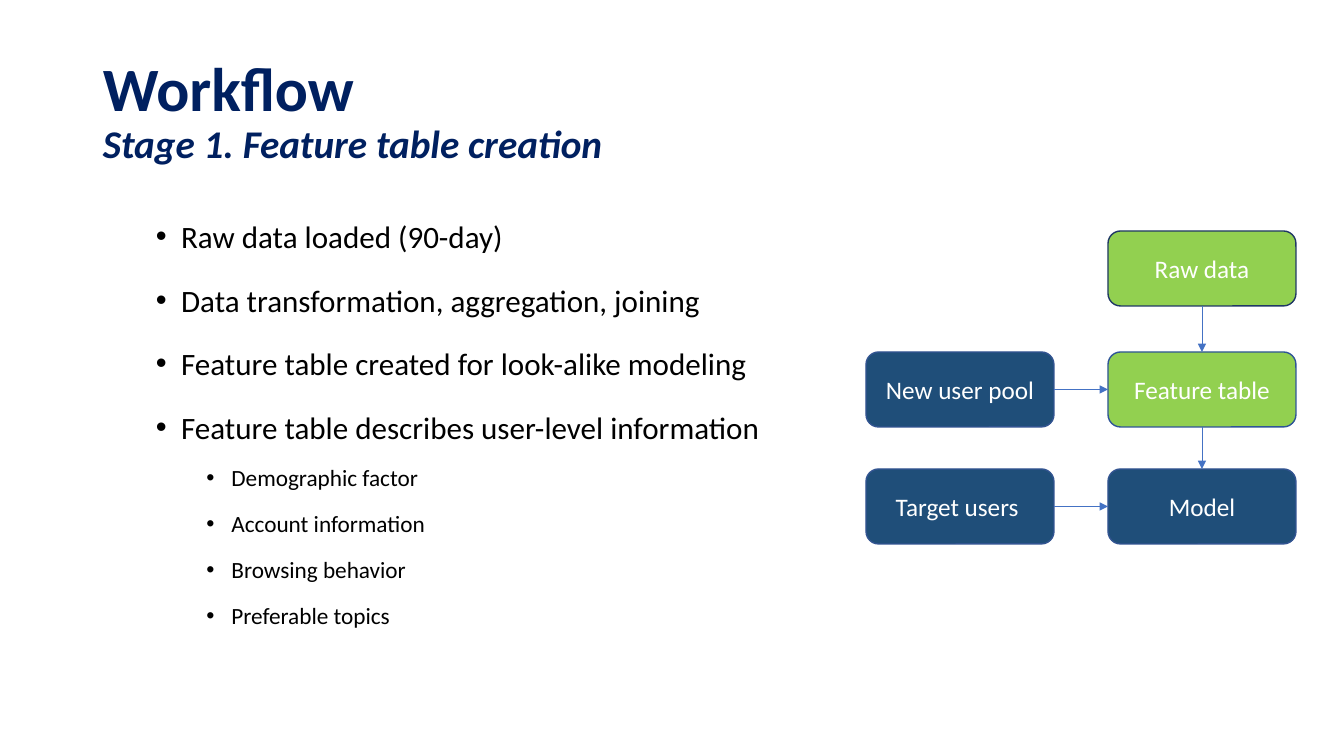
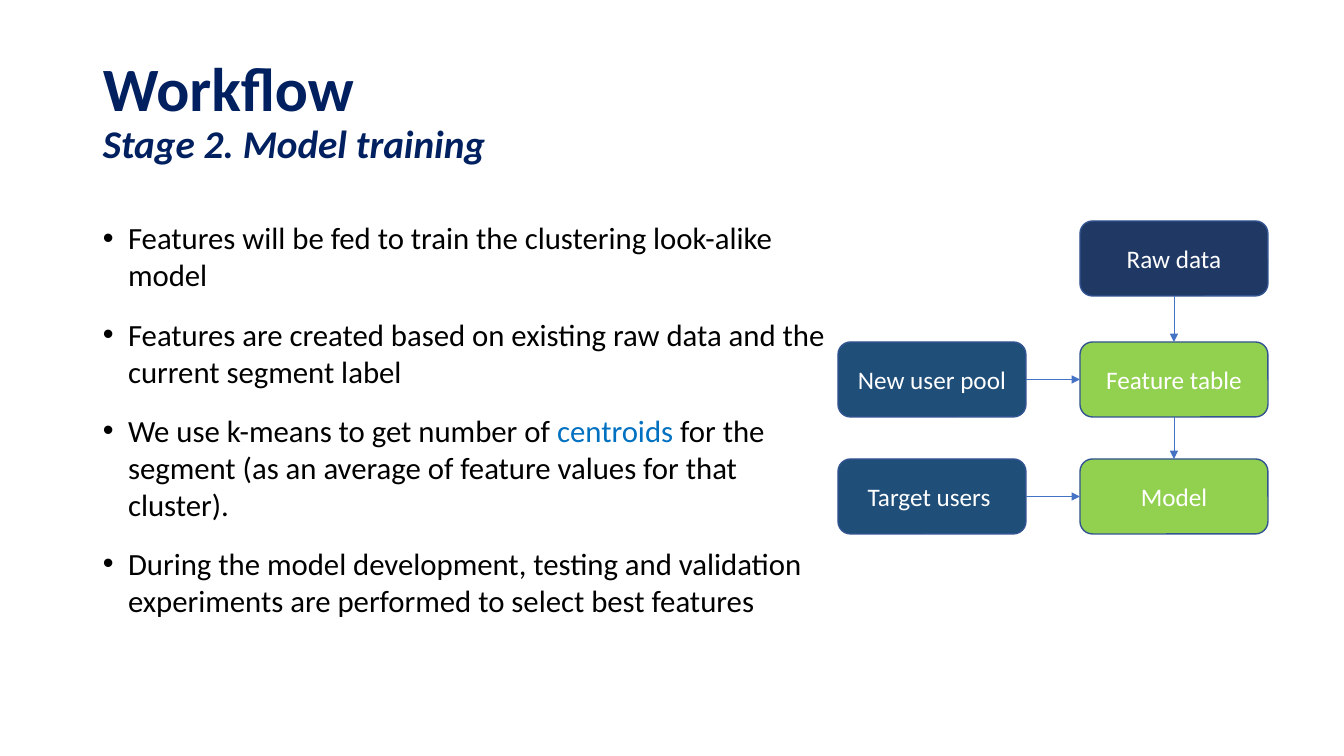
from lxml.etree import SubElement
from pptx import Presentation
from pptx.dml.color import RGBColor
from pptx.enum.shapes import MSO_CONNECTOR, MSO_SHAPE
from pptx.enum.text import MSO_ANCHOR, PP_ALIGN
from pptx.oxml.ns import qn
from pptx.util import Pt

PX = 914400 / 100.8
FONT = "Calibri"
NAVY, BLACK, WHITE, ACCENT = "002060", "000000", "FFFFFF", "0070C0"
BLUE, DEEP, GREEN = "1F4E79", "203864", "92D050"
OUTLINE, ARROW = "325491", "4472C4"
TOP, LEFT, BOTTOM, RIGHT = range(4)

TITLE_BOX = (93, 40, 1159, 146)
NODE_WIDTH, NODE_HEIGHT, COLUMN_STEP = 188, 75, 242
ROW_TOPS = (0, 121, 238)
NODES = {
    "Raw data": (1, 0),
    "Feature table": (1, 1),
    "Model": (1, 2),
    "New user pool": (0, 1),
    "Target users ": (0, 2),
}
FLOWS = (
    ("Raw data", BOTTOM, "Feature table", TOP),
    ("Feature table", BOTTOM, "Model", TOP),
    ("New user pool", RIGHT, "Feature table", LEFT),
    ("Target users ", RIGHT, "Model", LEFT),
)


def px(*lengths):
    """Turn pixel lengths into EMU."""
    return [round(length * PX) for length in lengths]


def rgb(value):
    """Turn a hex string into a colour."""
    return RGBColor.from_string(value)


def add_run(paragraph, text, size, color, bold=False, italic=False):
    """Append one styled run."""
    run = paragraph.add_run()
    run.text = text
    font = run.font
    font.name, font.size, font.bold, font.italic = FONT, Pt(size), bold, italic
    font.color.rgb = rgb(color)


def add_frame(slide, box):
    """Add a wrapping text box and return its frame."""
    frame = slide.shapes.add_textbox(*px(*box)).text_frame
    frame.word_wrap = True
    return frame


def add_title(slide, box, stage):
    """Place the workflow heading above its stage line."""
    frame = add_frame(slide, box)
    frame.vertical_anchor = MSO_ANCHOR.MIDDLE
    heading = frame.paragraphs[0]
    heading.line_spacing = 0.9
    add_run(heading, "Workflow", 44, NAVY, bold=True)
    heading.add_line_break()
    add_run(heading, stage, 28, NAVY, bold=True, italic=True)


def add_bullets(slide, box, points, sizes, line_spacing):
    """Fill the box with (level, runs) points, each run a (text, colour) pair."""
    frame = add_frame(slide, box)
    for index, (level, runs) in enumerate(points):
        point = frame.add_paragraph() if index else frame.paragraphs[0]
        point.level = level
        point.line_spacing = line_spacing
        point.space_before, point.space_after = Pt(5 if level else 10), Pt(6)
        properties = point._p.get_or_add_pPr()
        properties.set("marL", str(Pt(18 + 36 * level)))
        properties.set("indent", str(Pt(-18)))
        SubElement(properties, qn("a:buFont"), typeface="Arial")
        SubElement(properties, qn("a:buChar"), char="•")
        for text, color in runs:
            add_run(point, text, sizes[level], color)


def add_node(slide, box, label, fill, outline):
    """Draw one labelled step of the workflow."""
    node = slide.shapes.add_shape(MSO_SHAPE.ROUNDED_RECTANGLE, *px(*box))
    node.shadow.inherit = False
    node.fill.solid()
    node.fill.fore_color.rgb = rgb(fill)
    node.line.color.rgb = rgb(outline)
    node.line.width = Pt(1)
    frame = node.text_frame
    frame.word_wrap = True
    frame.vertical_anchor = MSO_ANCHOR.MIDDLE
    frame.paragraphs[0].alignment = PP_ALIGN.CENTER
    add_run(frame.paragraphs[0], label, 18, WHITE)
    return node


def add_arrow(slide, source, source_side, target, target_side):
    """Connect two steps with an arrow."""
    arrow = slide.shapes.add_connector(MSO_CONNECTOR.STRAIGHT, 0, 0, 0, 0)
    arrow.begin_connect(source, source_side)
    arrow.end_connect(target, target_side)
    arrow.line.color.rgb = rgb(ARROW)
    arrow.line.width = Pt(0.5)
    properties = arrow._element.spPr
    SubElement(properties.find(qn("a:ln")), qn("a:tailEnd"), type="triangle")
    SubElement(properties, qn("a:effectLst"))


def add_workflow(slide, origin, highlights):
    """Draw the step diagram, with (fill, outline) pairs for highlighted steps."""
    left, top = origin
    steps = {}
    for label, (column, row) in NODES.items():
        box = (left + column * COLUMN_STEP, top + ROW_TOPS[row], NODE_WIDTH, NODE_HEIGHT)
        steps[label] = add_node(slide, box, label, *highlights.get(label, (BLUE, OUTLINE)))
    for source, source_side, target, target_side in FLOWS:
        add_arrow(slide, steps[source], source_side, steps[target], target_side)


def add_stage(deck, stage, bullets, origin, highlights):
    """Build one stage slide from its title, bullets and diagram."""
    slide = deck.slides.add_slide(deck.slide_layouts[6])
    add_title(slide, TITLE_BOX, stage)
    add_bullets(slide, **bullets)
    add_workflow(slide, origin, highlights)


def plain(level, *texts):
    """Make single-colour points of one level."""
    return [(level, [(text, BLACK)]) for text in texts]


deck = Presentation()
deck.slide_width, deck.slide_height = px(1344, 756)

add_stage(
    deck,
    "Stage 1. Feature table creation",
    {
        "box": (146, 209, 868, 438),
        "points": plain(
            0,
            "Raw data loaded (90-day)",
            "Data transformation, aggregation, joining",
            "Feature table created for look-alike modeling",
            "Feature table describes user-level information",
        ) + plain(
            1,
            "Demographic factor",
            "Account information ",
            "Browsing behavior",
            "Preferable topics",
        ),
        "sizes": (22.2, 16.6),
        "line_spacing": 1.1,
    },
    (866, 231),
    {"Raw data": (GREEN, DEEP), "Feature table": (GREEN, "2F5597")},
)

add_stage(
    deck,
    "Stage 2. Model training",
    {
        "box": (93, 214, 746, 473),
        "points": plain(
            0,
            "Features will be fed to train the clustering look-alike model",
            "Features are created based on existing raw data and the current segment label",
        ) + [(0, [
            ("We use k-means to get number of ", BLACK),
            ("centroids", ACCENT),
            (" for the segment (as an average of feature values for that cluster).", BLACK),
        ])] + plain(
            0,
            "During the model development, testing and validation experiments "
            "are performed to select best features",
        ),
        "sizes": (22,),
        "line_spacing": 1.0,
    },
    (838, 221),
    {
        "Raw data": (DEEP, OUTLINE),
        "Feature table": (GREEN, OUTLINE),
        "Model": (GREEN, OUTLINE),
    },
)

deck.save("out.pptx")
